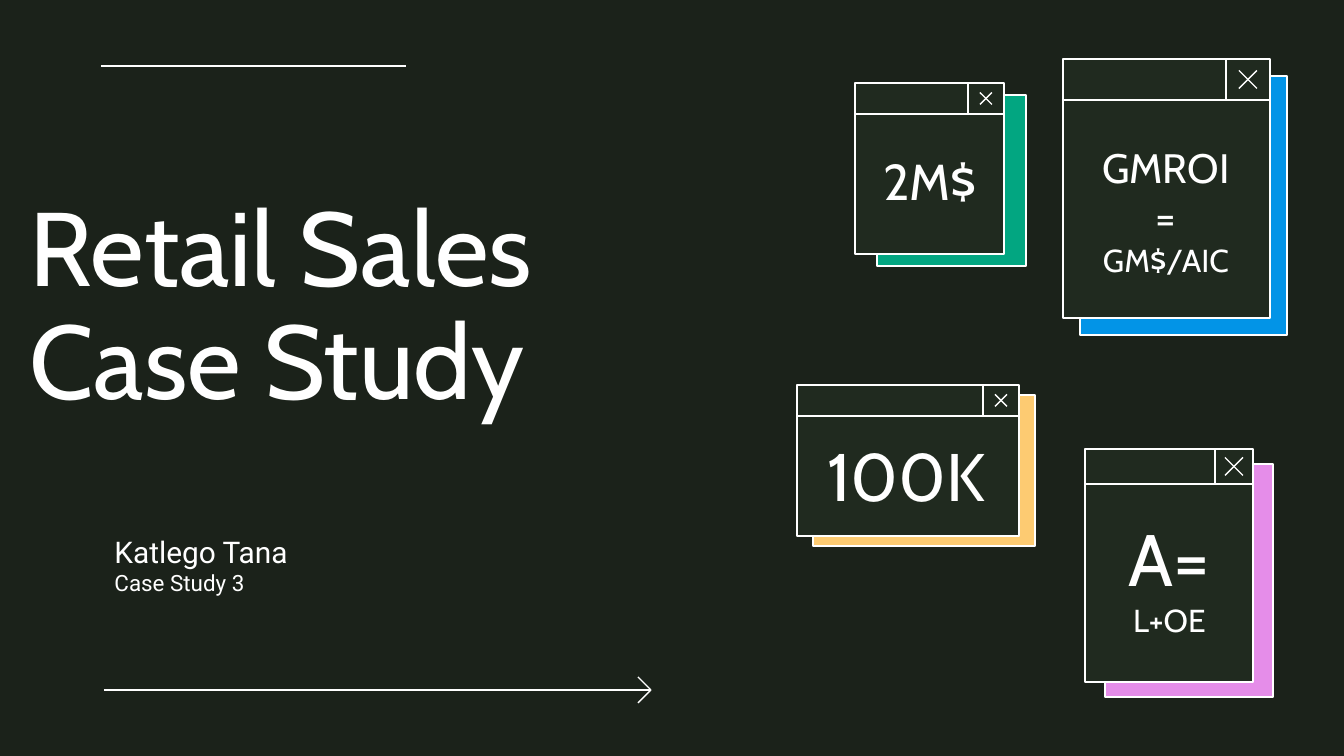
from pptx import Presentation
from pptx import util as u
from pptx.dml.color import RGBColor
from pptx.enum import shapes, text
from pptx.oxml.ns import qn
from lxml import etree

PX = 914400 / 134.4
WHITE = RGBColor(0xFF, 0xFF, 0xFF)
BACKGROUND = RGBColor(0x1B, 0x22, 0x1A)
PANEL = RGBColor(0x20, 0x2A, 0x1F)
GREEN = RGBColor(0x02, 0xA6, 0x81)
BLUE = RGBColor(0x02, 0x94, 0xE7)
VIOLET = RGBColor(0xE5, 0x8D, 0xE9)
YELLOW = RGBColor(0xFD, 0xCB, 0x72)


def px(*lengths):
    return [u.Emu(round(length * PX)) for length in lengths]


def write(box, font, align, spacing, paragraphs):
    frame = box.text_frame
    frame_format = {
        "word_wrap": True,
        "auto_size": text.MSO_AUTO_SIZE.NONE,
        "vertical_anchor": text.MSO_ANCHOR.MIDDLE,
    }
    for side in ("left", "top", "right", "bottom"):
        frame_format[f"margin_{side}"] = u.Inches(0.1)
    for name, value in frame_format.items():
        setattr(frame, name, value)
    for index, spans in enumerate(paragraphs):
        para = frame.add_paragraph() if index else frame.paragraphs[0]
        para_format = {
            "alignment": align,
            "line_spacing": spacing,
            "space_before": u.Pt(0),
        }
        for name, value in para_format.items():
            setattr(para, name, value)
        for words, size in spans:
            span = para.add_run()
            span.text = words
            span.font.color.rgb = WHITE
            for name, value in {"name": font, "size": u.Pt(size)}.items():
                setattr(span.font, name, value)


deck = Presentation()
deck.slide_width, deck.slide_height = px(1344, 756)
page = deck.slides.add_slide(deck.slide_layouts[0])
page.background.fill.solid()
page.background.fill.fore_color.rgb = BACKGROUND

title, subtitle = page.placeholders
placeholders = [
    (title, (16, 133, 761, 352), "Cabin", 0.9, [[("Retail Sales Case Study", 56)]]),
    (subtitle, (101, 535, 641, 60), "Roboto", 1.0,
     [[("Katlego Tana", 16)], [("Case Study 3", 12)]]),
]
for box, place, font, spacing, paragraphs in placeholders:
    box.left, box.top, box.width, box.height = px(*place)
    write(box, font, text.PP_ALIGN.LEFT, spacing, paragraphs)

rule = (101, 66, 406, 66)
arrow = [(104, 690, 651, 690), (651, 690, 638, 703), (651, 690, 638, 677)]

windows = [
    ((855, 83, 149, 171), (22, 12), GREEN, 31, 36, 6,
     (859, 122, 142, 116), [[("2M$", 27)]]),
    ((1063, 59, 207, 259), (17, 17), BLUE, 41, 44, 9,
     (1082, 121, 168, 179), [[("GMROI=", 22), (" GM$/AIC", 17)]]),
    ((1085, 449, 168, 233), (20, 15), VIOLET, 35, 38, 9,
     (1103, 487, 133, 179), [[("A=", 39)], [("L+OE", 17)]]),
    ((797, 385, 222, 151), (16, 10), YELLOW, 31, 36, 6,
     (805, 417, 203, 116), [[("100K", 36)]]),
]
lines = [rule, *arrow]
for (left, top, width, height), (dx, dy), colour, bar, button, arm, place, words in windows:
    for x, y, fill in ((left + dx, top + dy, colour), (left, top, PANEL)):
        panel = page.shapes.add_shape(
            shapes.MSO_SHAPE.RECTANGLE, *px(x, y, width, height))
        panel.shadow.inherit = False
        panel.fill.solid()
        panel.fill.fore_color.rgb = fill
        panel.line.color.rgb = WHITE
        panel.line.width = u.Pt(0.75)
    right = left + width
    x, y = right - button / 2, top + bar / 2
    lines += [
        (left, top + bar, right, top + bar),
        (right - button, top, right - button, top + bar),
        (x - arm, y - arm, x + arm, y + arm),
        (x + arm, y - arm, x - arm, y + arm),
    ]
    box = page.shapes.add_textbox(*px(*place))
    write(box, "Cabin", text.PP_ALIGN.CENTER, 1.0, words)

for ends in lines:
    line = page.shapes.add_connector(shapes.MSO_CONNECTOR.STRAIGHT, *px(*ends))
    line.line.color.rgb = WHITE
    line.line.width = u.Pt(0.75)
    etree.SubElement(line._element.spPr, qn("a:effectLst"))

deck.save("out.pptx")
